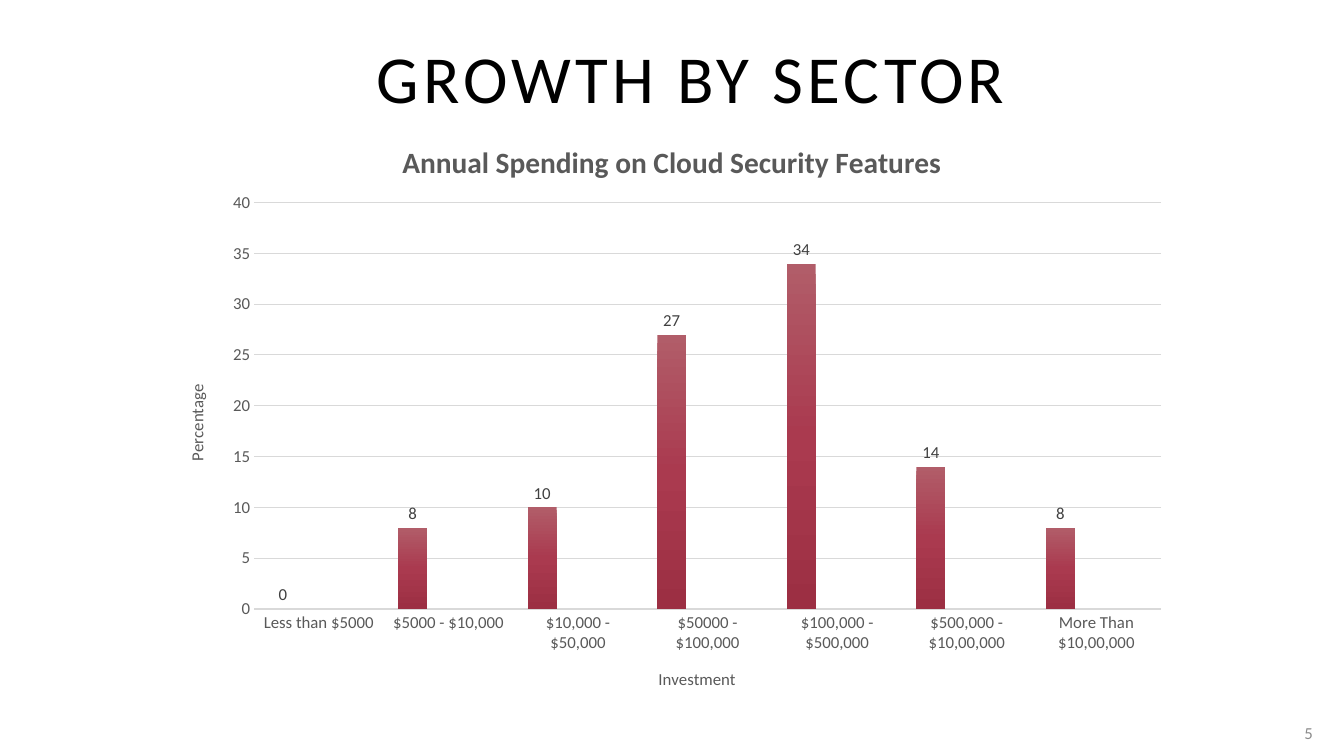
from copy import deepcopy
from dataclasses import dataclass

from pptx import Presentation
from pptx.chart.data import CategoryChartData
from pptx.dml.color import RGBColor
from pptx.enum.chart import XL_CHART_TYPE, XL_LABEL_POSITION, XL_TICK_MARK
from pptx.enum.text import MSO_ANCHOR, PP_ALIGN
from pptx.oxml import parse_xml
from pptx.oxml.ns import nsdecls, qn
from pptx.util import Inches, Pt

COLUMNS = XL_CHART_TYPE.COLUMN_CLUSTERED
OUTSIDE_END = XL_LABEL_POSITION.OUTSIDE_END
NO_TICK = XL_TICK_MARK.NONE
MIDDLE = MSO_ANCHOR.MIDDLE
CENTER, RIGHT = PP_ALIGN.CENTER, PP_ALIGN.RIGHT


@dataclass(frozen=True)
class Theme:
    font: str = "Calibri"
    title: str = "000000"
    number: str = "8C8C8C"
    axis: str = "595959"
    label: str = "404040"
    grid: str = "D9D9D9"
    title_size: float = 48
    title_spacing: int = 300
    heading_size: float = 21
    text_size: float = 12


THEME = Theme()
CATEGORIES = [
    "Less than $5000", "$5000 - $10,000", "$10,000 - $50,000",
    "$50000 - $100,000", "$100,000 - $500,000",
    "$500,000 - $10,00,000", "More Than $10,00,000",
]
SERIES = {
    "Series 1": ([0, 8, 10, 27, 34, 14, 8], ("B15D69", "AA3A4F", "9C2F43")),
    "Series 2": ([None] * 7, ("EDA36F", "F09650", "DE843E")),
    "Series 3": ([None] * 7, ("55575F", "2E3243", "282C3C")),
}
PLOT_LAYOUT = {"x": 0.09, "y": 0.14, "w": 0.89, "h": 0.68}


def style_font(font, size, color, bold=False):
    font.name = THEME.font
    font.size = Pt(size)
    font.bold = bold
    font.color.rgb = RGBColor.from_string(color)


def write_text(box, text, size, color, align):
    frame = box.text_frame
    frame.text = text
    frame.word_wrap = True
    frame.vertical_anchor = MIDDLE
    para = frame.paragraphs[0]
    para.alignment = align
    span = para.runs[0]
    style_font(span.font, size, color)
    return span


def place(box, left, top, width, height):
    box.left, box.top = Inches(left), Inches(top)
    box.width, box.height = Inches(width), Inches(height)


def add_title(page, text):
    box = page.shapes.title
    place(box, 0.84, 0.31, 12.03, 0.9)
    span = write_text(box, text, THEME.title_size, THEME.title, CENTER)
    span.font._element.set("spc", str(THEME.title_spacing))


def add_page_number(page, text):
    box = page.shapes.add_textbox(Inches(12.63), Inches(7.07), Inches(0.49), Inches(0.4))
    write_text(box, text, THEME.text_size, THEME.number, RIGHT)


def set_heading(owner, text, size, bold=False):
    frame = owner.text_frame
    frame.text = text
    style_font(frame.paragraphs[0].runs[0].font, size, THEME.axis, bold)


def style_line(line, width):
    line.color.rgb = RGBColor.from_string(THEME.grid)
    line.width = Pt(width)


def style_axis(axis, title):
    axis.major_tick_mark = axis.minor_tick_mark = NO_TICK
    style_font(axis.tick_labels.font, THEME.text_size, THEME.axis)
    set_heading(axis.axis_title, title, THEME.text_size)


def fill_gradient(fill, element, colors):
    fill.gradient()
    fill.gradient_angle = 270
    stop_list = element.find(".//" + qn("a:gsLst"))
    stop_list.insert(1, deepcopy(stop_list[0]))
    for index, (stop, color) in enumerate(zip(fill.gradient_stops, colors)):
        stop.color.rgb = RGBColor.from_string(color)
        stop.position = index / 2


def style_series(series, colors):
    series.invert_if_negative = False
    fill_gradient(series.format.fill, series._element, colors)
    labels = series.data_labels
    labels.show_value = True
    labels.position = OUTSIDE_END
    style_font(labels.font, THEME.text_size, THEME.label)


def fix_plot_area(chart):
    area = chart._chartSpace.chart.plotArea
    for layout in area.findall(qn("c:layout")):
        area.remove(layout)
    modes = '<c:layoutTarget val="inner"/><c:xMode val="edge"/><c:yMode val="edge"/>'
    sizes = "".join(f'<c:{name} val="{value}"/>' for name, value in PLOT_LAYOUT.items())
    area.insert(0, parse_xml(
        f'<c:layout {nsdecls("c")}><c:manualLayout>{modes}{sizes}</c:manualLayout></c:layout>'))


def add_spending_chart(page):
    data = CategoryChartData()
    data.categories = CATEGORIES
    for name, (values, _) in SERIES.items():
        data.add_series(name, values)
    chart = page.shapes.add_chart(
        COLUMNS, Inches(1.61), Inches(1.18), Inches(10.11), Inches(5.93), data).chart
    style_font(chart.font, 10, THEME.title)
    chart.has_legend = False
    set_heading(chart.chart_title, "Annual Spending on Cloud Security Features",
                THEME.heading_size, True)
    chart.chart_title.include_in_layout = False

    style_axis(chart.category_axis, "Investment")
    style_line(chart.category_axis.format.line, 1)
    value_axis = chart.value_axis
    style_axis(value_axis, "Percentage")
    value_axis.minimum_scale, value_axis.maximum_scale = 0, 40
    value_axis.major_unit = 5
    value_axis.format.line.fill.background()
    value_axis.has_major_gridlines = True
    style_line(value_axis.major_gridlines.format.line, 0.75)

    plot = chart.plots[0]
    plot.vary_by_categories = False
    plot.gap_width, plot.overlap = 100, -24
    for series in plot.series:
        style_series(series, SERIES[series.name][1])
    fix_plot_area(chart)


def main():
    deck = Presentation()
    deck.slide_width, deck.slide_height = Inches(13.33), Inches(7.5)
    page = deck.slides.add_slide(deck.slide_layouts[5])
    add_title(page, "GROWTH BY SECTOR")
    add_page_number(page, "5")
    add_spending_chart(page)
    deck.save("out.pptx")


if __name__ == "__main__":
    main()
